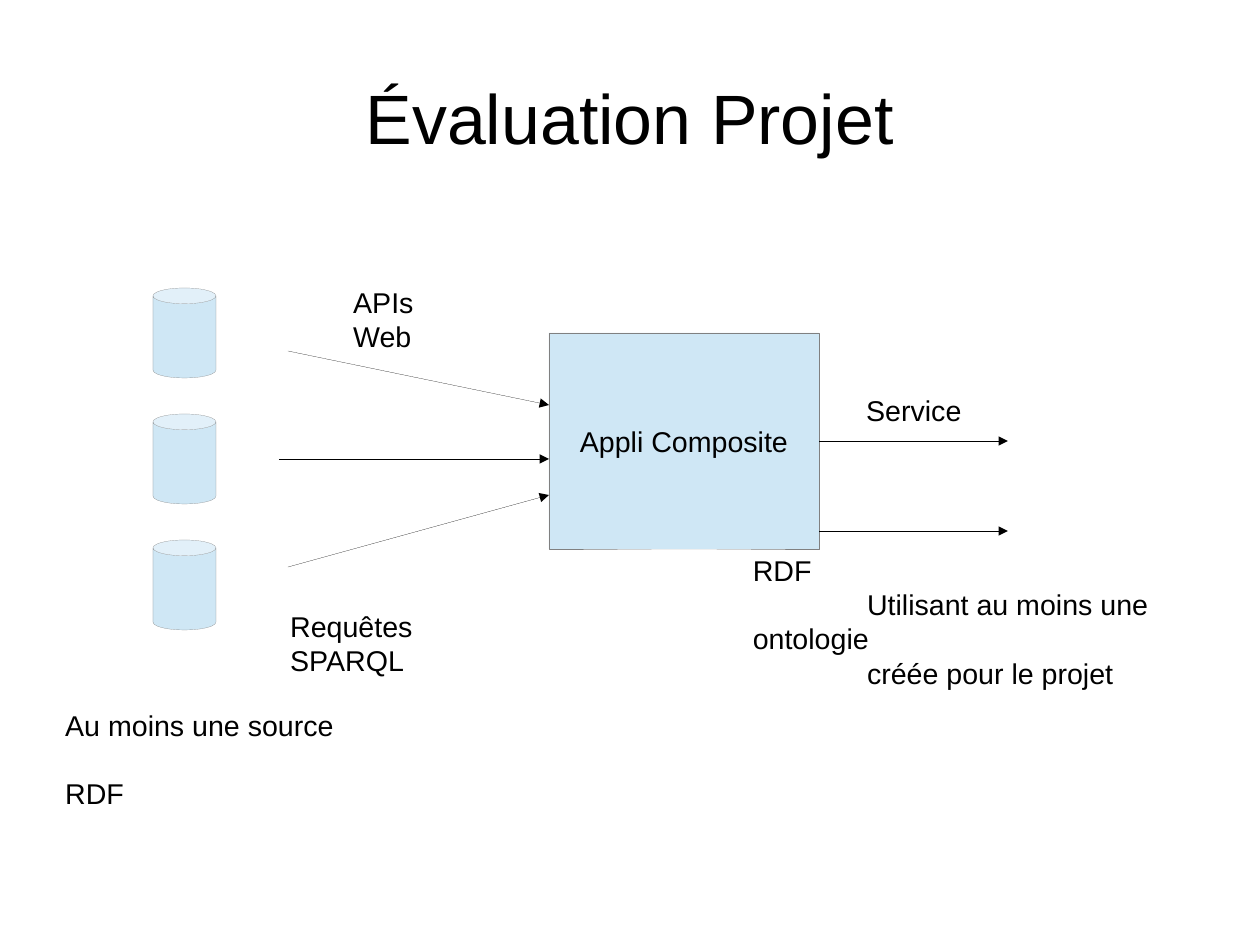
from dataclasses import dataclass

from lxml.etree import SubElement
from pptx import Presentation
from pptx.dml.color import RGBColor
from pptx.enum.shapes import MSO_CONNECTOR, MSO_SHAPE
from pptx.enum.text import MSO_ANCHOR, MSO_AUTO_SIZE, PP_ALIGN
from pptx.oxml.ns import qn
from pptx.util import Cm, Pt

RIGHT_SIDE = 3


@dataclass(frozen=True)
class Theme:
    font: str = "Arial"
    title_size: Pt = Pt(44)
    text_size: Pt = Pt(18)
    line_pitch: Pt = Pt(21.6)
    hairline: Pt = Pt(0.1)
    ink: RGBColor = RGBColor(0x00, 0x00, 0x00)
    fill: RGBColor = RGBColor(0xCF, 0xE7, 0xF5)
    outline: RGBColor = RGBColor(0x80, 0x80, 0x80)


class Diagram:
    def __init__(self, slide, theme):
        self.slide = slide
        self.theme = theme

    def style(self, paragraph, size, align=PP_ALIGN.LEFT):
        paragraph.alignment = align
        paragraph.font.name = self.theme.font
        paragraph.font.size = size
        paragraph.font.color.rgb = self.theme.ink

    def title(self, text, left, top, width, height):
        title = self.slide.shapes.title
        title.left, title.top = Cm(left), Cm(top)
        title.width, title.height = Cm(width), Cm(height)
        frame = title.text_frame
        frame.text = text
        frame.auto_size = MSO_AUTO_SIZE.NONE
        frame.vertical_anchor = MSO_ANCHOR.MIDDLE
        frame.margin_left = frame.margin_right = 0
        frame.margin_top = frame.margin_bottom = 0
        self.style(frame.paragraphs[0], self.theme.title_size, PP_ALIGN.CENTER)

    def block(self, kind, left, top, width, height, text=""):
        """Add a filled, outlined preset shape, with a centred caption if given."""
        block = self.slide.shapes.add_shape(
            kind, Cm(left), Cm(top), Cm(width), Cm(height))
        block.shadow.inherit = False
        block.fill.solid()
        block.fill.fore_color.rgb = self.theme.fill
        block.line.color.rgb = self.theme.outline
        block.line.width = self.theme.hairline
        if text:
            frame = block.text_frame
            frame.text = text
            frame.word_wrap = False
            frame.vertical_anchor = MSO_ANCHOR.MIDDLE
            self.style(frame.paragraphs[0], self.theme.text_size, PP_ALIGN.CENTER)
        return block

    def arrow(self, start, end, source=None):
        """Add an arrow; a source block is joined at the middle of its right side."""
        arrow = self.slide.shapes.add_connector(
            MSO_CONNECTOR.STRAIGHT, *map(Cm, start), *map(Cm, end))
        if source is not None:
            arrow.begin_connect(source, RIGHT_SIDE)
        arrow.line.color.rgb = self.theme.ink
        arrow.line.width = self.theme.hairline
        SubElement(arrow.line._get_or_add_ln(), qn("a:tailEnd"), type="triangle")
        SubElement(arrow._element.spPr, qn("a:effectLst"))

    def label(self, text, left, top, width, height=0.96, wrap=False):
        box = self.slide.shapes.add_textbox(
            Cm(left), Cm(top), Cm(width), Cm(height))
        frame = box.text_frame
        frame.word_wrap = wrap
        frame.text = text
        for paragraph in frame.paragraphs:
            self.style(paragraph, self.theme.text_size)
        return frame.paragraphs

    def note(self, text, left, top, width, height):
        """Add a wrapped label of several lines at the theme's line pitch."""
        paragraphs = self.label(text, left, top, width, height, wrap=True)
        for paragraph in paragraphs:
            paragraph.line_spacing = self.theme.line_pitch
        return paragraphs


def main():
    presentation = Presentation()
    presentation.slide_width, presentation.slide_height = Cm(28), Cm(21)
    slide = presentation.slides.add_slide(presentation.slide_layouts[5])
    theme = Theme()
    diagram = Diagram(slide, theme)

    diagram.title("Évaluation Projet", 1.4, 0.84, 25.2, 3.5)

    application = diagram.block(
        MSO_SHAPE.RECTANGLE, 12.2, 7.4, 6, 4.8, "Appli Composite")
    for row in range(3):
        diagram.block(MSO_SHAPE.CAN, 3.4, 6.4 + 2.8 * row, 1.4, 2)

    for start_x, start_y, end_y in ((6.4, 7.8, 9), (6.2, 10.2, 10.2), (6.4, 12.6, 11)):
        diagram.arrow((start_x, start_y), (12.2, end_y))
    diagram.arrow((18.2, 9.8), (22.4, 9.8), source=application)
    diagram.arrow((18.2, 11.8), (22.4, 11.8))

    diagram.label("APIs Web", 7.6, 6.2, 3.3)
    diagram.label("Service", 19, 8.6, 2.62)
    diagram.label("Requêtes SPARQL", 6.2, 13.4, 5.92)

    sources = diagram.note("Au moins une source\nRDF", 1.2, 15.6, 6.48, 2.6)
    sources[1].space_before = theme.line_pitch

    output = diagram.note(
        "RDF\nUtilisant au moins une ontologie\ncréée pour le projet",
        16.48, 12.16, 10.77, 3.3)
    for detail in output[1:]:
        detail._p.get_or_add_pPr().set("indent", str(Cm(2.54)))

    presentation.save("out.pptx")


if __name__ == "__main__":
    main()
